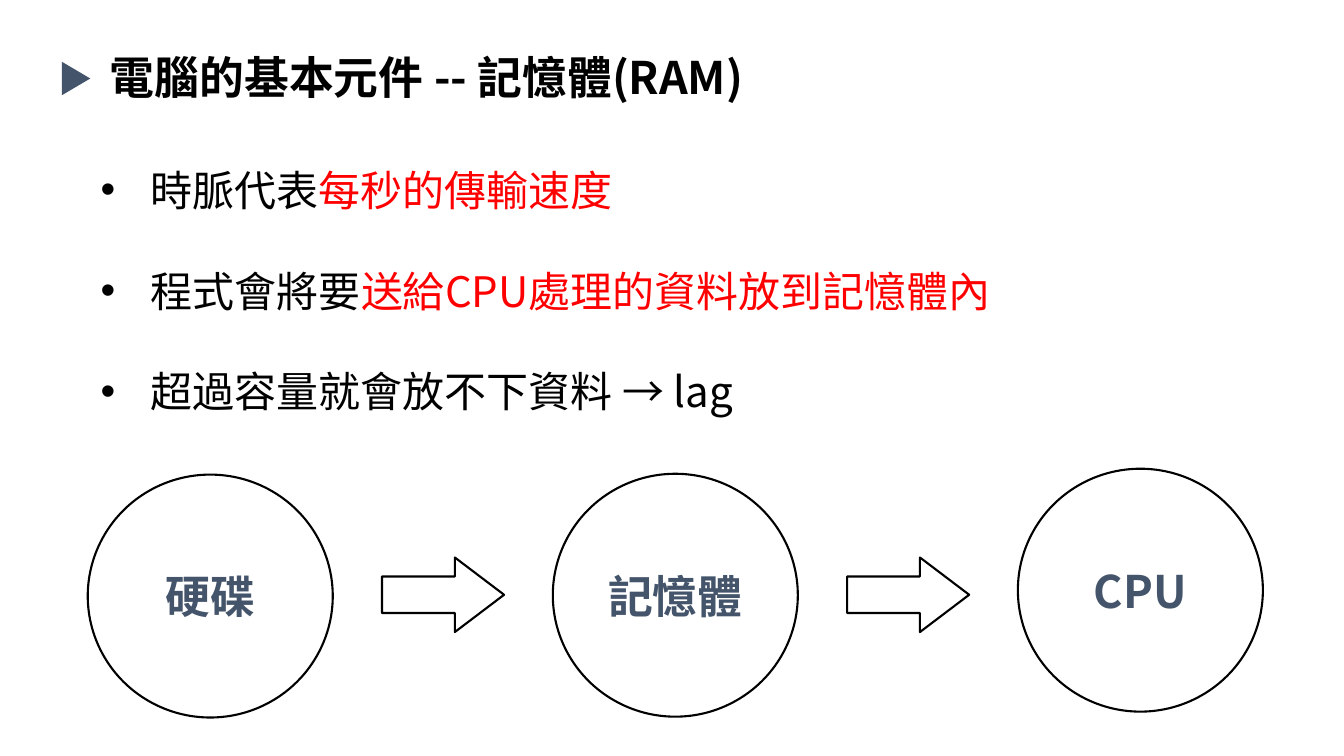
"""Build the slide on memory (RAM) as a basic computer component."""
from lxml.etree import SubElement
from pptx import Presentation
from pptx.dml.color import RGBColor
from pptx.enum.shapes import MSO_SHAPE
from pptx.enum.text import MSO_ANCHOR, PP_ALIGN
from pptx.oxml.ns import qn
from pptx.util import Pt

FONT = "Noto Sans CJK SC"
BLACK, RED, SLATE = "000000", "FF0000", "44546A"
TITLE = "電腦的基本元件 -- 記憶體(RAM)"
BULLETS = [
    [("時脈代表", BLACK), ("每秒的傳輸速度", RED)],
    [("程式會將要", BLACK), ("送給CPU處理的資料放到記憶體內", RED)],
    [("超過容量就會放不下資料 → lag", BLACK)],
]
STAGES = [("硬碟", 339), ("記憶體", 338.4), ("CPU", 334.8)]
STAGE_LEFT, STAGE_PITCH, STAGE_W, STAGE_H = 62.7, 332.2, 175, 173.5
ARROW_OFFSET, ARROW_TOP, ARROW_W, ARROW_H = 210.2, 398.2, 87.2, 53.3


def rgb(value):
    return RGBColor.from_string(value)


def add_run(p, text, size, color, bold=False):
    p.line_spacing = Pt(size * 1.2)
    r = p.add_run()
    r.text = text
    r.font.name, r.font.size, r.font.bold = FONT, Pt(size), bold
    r.font.color.rgb = rgb(color)
    SubElement(r.font._element, qn("a:ea"), typeface=FONT)


def add_bullet(p):
    pPr = p._p.get_or_add_pPr()
    pPr.set("marL", str(Pt(36)))
    pPr.set("indent", str(Pt(-36)))
    SubElement(pPr, qn("a:buFont"), typeface="Arial")
    SubElement(pPr, qn("a:buChar"), char="•")


def add_outline(s, kind, left, top, width, height):
    sp = s.shapes.add_shape(kind, Pt(left), Pt(top), Pt(width), Pt(height))
    sp.shadow.inherit = False
    sp.fill.background()
    sp.line.color.rgb = rgb(BLACK)
    sp.line.width = Pt(1.5)
    return sp


def add_heading(s):
    title = s.shapes.title
    title.left, title.top, title.width, title.height = Pt(71.3), Pt(31.7), Pt(831), Pt(46)
    tf = title.text_frame
    tf.word_wrap = True
    tf.vertical_anchor = MSO_ANCHOR.TOP
    p = tf.paragraphs[0]
    p.alignment = PP_ALIGN.LEFT
    add_run(p, TITLE, 32, BLACK, True)
    marker = add_outline(s, MSO_SHAPE.ISOSCELES_TRIANGLE, 42.5, 46, 23.8, 20.2)
    marker.rotation = 90
    marker.fill.solid()
    marker.fill.fore_color.rgb = rgb(SLATE)
    marker.line.fill.background()


def add_bullets(s):
    tf = s.shapes.add_textbox(Pt(64.8), Pt(113.8), Pt(657.4), Pt(189.4)).text_frame
    tf.word_wrap = True
    for i, runs in enumerate(BULLETS):
        p = tf.add_paragraph() if i else tf.paragraphs[0]
        p.space_before = Pt(36 if i else 0)
        for text, color in runs:
            add_run(p, text, 30, color)
        add_bullet(p)


def add_flow(s):
    for i, (name, top) in enumerate(STAGES):
        left = STAGE_LEFT + i * STAGE_PITCH
        circle = add_outline(s, MSO_SHAPE.OVAL, left, top, STAGE_W, STAGE_H)
        tf = circle.text_frame
        tf.vertical_anchor = MSO_ANCHOR.MIDDLE
        p = tf.paragraphs[0]
        p.alignment = PP_ALIGN.CENTER
        add_run(p, name, 32, SLATE, True)
        if i < len(STAGES) - 1:
            arrow = add_outline(s, MSO_SHAPE.RIGHT_ARROW, left + ARROW_OFFSET,
                                ARROW_TOP, ARROW_W, ARROW_H)
            arrow.adjustments[0] = 0.49
            arrow.adjustments[1] = 0.66


def main():
    prs = Presentation()
    prs.slide_width, prs.slide_height = Pt(960), Pt(540)
    s = prs.slides.add_slide(prs.slide_layouts[5])
    add_heading(s)
    add_bullets(s)
    add_flow(s)
    prs.save("out.pptx")


if __name__ == "__main__":
    main()
